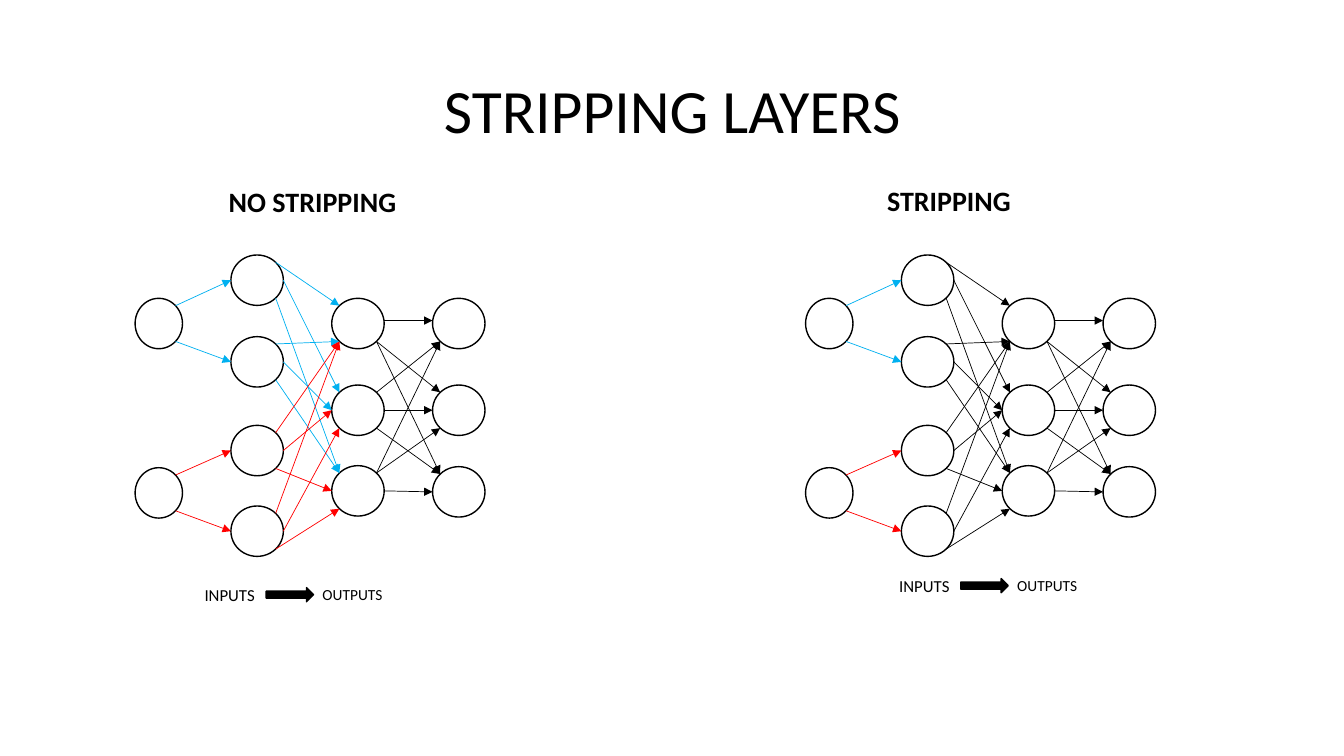
from lxml import etree
from pptx import Presentation
from pptx.dml.color import RGBColor
from pptx.enum.shapes import MSO_CONNECTOR, MSO_SHAPE
from pptx.enum.text import MSO_ANCHOR, MSO_AUTO_SIZE, PP_ALIGN
from pptx.oxml.ns import qn
from pptx.util import Inches, Pt

TITLE = "STRIPPING LAYERS"
COLORS = {"ink": "000000", "paper": "FFFFFF", "blue": "00B0F0", "red": "FF0000"}
FONT = "Calibri"

# Each layer: left edge, node width, node tops (inches, first network)
LAYERS = {
    "input": (1.34, 0.47, (2.96, 4.64)),
    "hidden": (2.29, 0.52, (2.53, 3.34, 4.22, 5.02)),
    "middle": (3.29, 0.52, (2.96, 3.82, 4.62)),
    "output": (4.29, 0.52, (2.96, 3.82, 4.63)),
}
NODE_HEIGHT = 0.5

# Points on a node's rim, in radii from its centre
DIAGONAL = 0.71
RIM = {
    "E": (1, 0), "W": (-1, 0),
    "E high": (1, -0.12), "W high": (-1, -0.12),
    "NE": (DIAGONAL, -DIAGONAL), "NW": (-DIAGONAL, -DIAGONAL),
    "SE": (DIAGONAL, DIAGONAL), "SW": (-DIAGONAL, DIAGONAL),
}

# Links between neighbouring layers: source node, rim point, target node, rim point
LINKS = {
    ("input", "hidden"): [
        (0, "NE", 0, "W"), (0, "SE", 1, "W"),
        (1, "NE", 2, "W"), (1, "SE", 3, "W"),
    ],
    ("hidden", "middle"): [
        (0, "NE", 0, "NW"), (0, "E", 1, "NW"), (0, "SE", 2, "NW"),
        (1, "NE", 0, "SW"), (1, "E", 1, "W"), (1, "SE", 2, "NW"),
        (2, "NE", 0, "SW"), (2, "E", 1, "W"), (2, "SE", 2, "W"),
        (3, "NE", 0, "SW"), (3, "E", 1, "SW"), (3, "SE", 2, "SW"),
    ],
    ("middle", "output"): [
        (0, "E high", 0, "W high"), (0, "SE", 1, "NW"), (0, "SE", 2, "NW"),
        (1, "NE", 0, "SW"), (1, "E", 1, "W"), (1, "SE", 2, "NW"),
        (2, "NE", 0, "SW"), (2, "NE", 1, "SW"), (2, "E", 2, "W"),
    ],
}
# Colour of the links that leave each node; other links are black
INPUT_TINTS = {"input": ("blue", "red")}
ALL_TINTS = {**INPUT_TINTS, "hidden": ("blue", "blue", "red", "red")}

# heading, heading box, network shift, legend corner, link tints
PANELS = [
    ("NO STRIPPING", (2.17, 1.78, 1.88, 0.44), 0, (1.93, 5.75), ALL_TINTS),
    ("STRIPPING", (8.7, 1.77, 1.44, 0.44), 6.65, (8.82, 5.66), INPUT_TINTS),
]


def color(name):
    return RGBColor.from_string(COLORS[name])


def write(frame, text, size, bold=False, align=PP_ALIGN.LEFT):
    para = frame.paragraphs[0]
    para.alignment = align
    span = para.add_run()
    span.text = text
    span.font.name, span.font.size, span.font.bold = FONT, Pt(size), bold
    span.font.color.rgb = color("ink")
    return para


def add_label(page, text, place, **format):
    box = page.shapes.add_textbox(*map(Inches, place))
    box.text_frame.word_wrap = False
    box.text_frame.auto_size = MSO_AUTO_SIZE.SHAPE_TO_FIT_TEXT
    write(box.text_frame, text, **format)


def add_outlined(page, kind, place, fill):
    shape = page.shapes.add_shape(kind, *map(Inches, place))
    shape.shadow.inherit = False
    shape.fill.solid()
    shape.fill.fore_color.rgb = color(fill)
    shape.line.color.rgb = color("ink")
    shape.line.width = Pt(1)


def add_arrow(page, start, end, tint):
    arrow = page.shapes.add_connector(
        MSO_CONNECTOR.STRAIGHT, *map(Inches, (*start, *end)))
    arrow.line.color.rgb = color(tint)
    arrow.line.width = Pt(0.5)
    etree.SubElement(arrow.line._get_or_add_ln(), qn("a:tailEnd"), type="triangle")
    etree.SubElement(arrow._element.spPr, qn("a:effectLst"))


def rim_point(layer, index, side, shift):
    left, width, tops = LAYERS[layer]
    across, down = RIM[side]
    return (shift + left + width / 2 * (1 + across),
            tops[index] + NODE_HEIGHT / 2 * (1 + down))


def add_network(page, shift, tints):
    for left, width, tops in LAYERS.values():
        for top in tops:
            add_outlined(page, MSO_SHAPE.FLOWCHART_CONNECTOR,
                         (left + shift, top, width, NODE_HEIGHT), "paper")
    for (source, target), links in LINKS.items():
        for first, leaving, second, entering in links:
            tint = tints[source][first] if source in tints else "ink"
            add_arrow(page, rim_point(source, first, leaving, shift),
                      rim_point(target, second, entering, shift), tint)


def add_legend(page, left, top):
    add_label(page, "INPUTS", (left, top, 0.71, 0.3), size=12)
    add_outlined(page, MSO_SHAPE.RIGHT_ARROW,
                 (left + 0.71, top + 0.08, 0.47, 0.14), "ink")
    add_label(page, "OUTPUTS", (left + 1.17, top + 0.01, 0.82, 0.29), size=11)


def main():
    deck = Presentation()
    deck.slide_width, deck.slide_height = Inches(13.33), Inches(7.5)
    page = deck.slides.add_slide(deck.slide_layouts.get_by_name("Title Only"))

    title = page.shapes.title
    title.left, title.top, title.width, title.height = map(
        Inches, (0.92, 0.4, 11.5, 1.45))
    title.text_frame.vertical_anchor = MSO_ANCHOR.MIDDLE
    write(title.text_frame, TITLE, 44, align=PP_ALIGN.CENTER).line_spacing = 0.9

    for heading, place, shift, corner, tints in PANELS:
        add_network(page, shift, tints)
        add_label(page, heading, place, size=20, bold=True)
        add_legend(page, *corner)
    deck.save("out.pptx")


if __name__ == "__main__":
    main()
